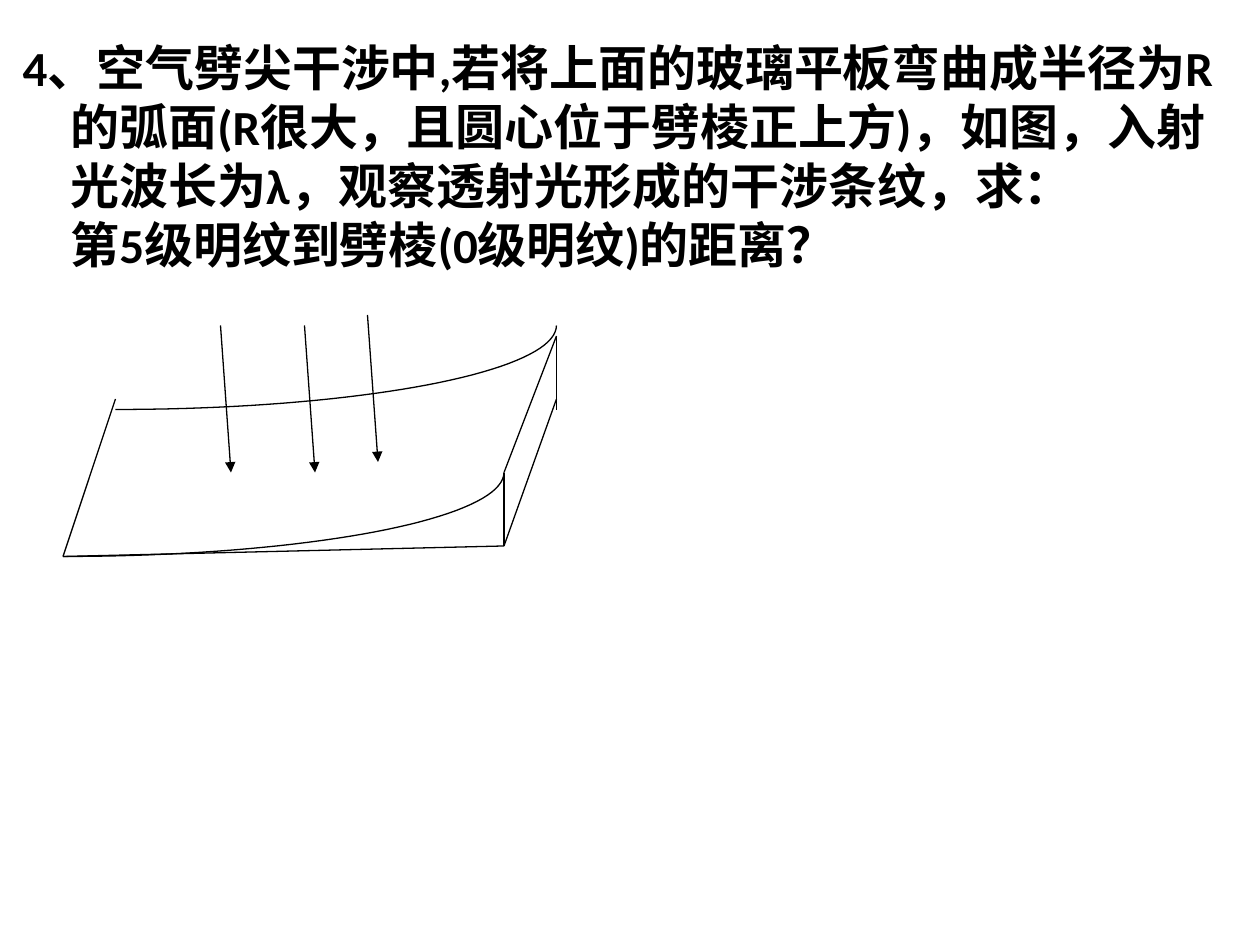
import math
from dataclasses import dataclass

from lxml import etree
from pptx import Presentation
from pptx import util as u
from pptx.dml.color import RGBColor
from pptx.enum import lang, shapes, text
from pptx.oxml.ns import qn


@dataclass(frozen=True)
class Theme:
    ink: RGBColor = RGBColor(0, 0, 0)
    face: str = "Calibri"
    size: int = 28
    line: float = 0.75


THEME = Theme()
UNIT = u.Inches(1) // 12  # the figure lies on a grid of twelfths of an inch

QUESTION = (
    "4、空气劈尖干涉中,若将上面的玻璃平板弯曲成半径为R的弧面"
    "(R很大，且圆心位于劈棱正上方)，如图，入射光波长为λ，"
    "观察透射光形成的干涉条纹，求："
)
TASK = "第5级明纹到劈棱(0级明纹)的距离？"

# Corners as (column, row)
EDGE = (6, 53)
FRONT_TOP, FRONT_LOW = (48, 45), (48, 52)
BACK_TOP, BACK_LOW = (53, 32), (53, 38)
SIDES = [
    (EDGE, (11, 38)),
    (FRONT_TOP, BACK_TOP),
    (EDGE, FRONT_LOW),
    (FRONT_TOP, FRONT_LOW),
    (FRONT_LOW, BACK_LOW),
    (BACK_TOP, (53, 39)),
]
RAYS = [(29, 31), (21, 31), (35, 30)]
ARCS = [EDGE, (11, 39)]


def put(par, words, hang=0.0, size=THEME.size, bold=True):
    """Fill a paragraph; hang is the inches its first line stands out."""
    props = par._p.get_or_add_pPr()
    props.set("marL", str(u.Inches(0.38)))
    props.set("indent", str(-u.Inches(hang)))
    par.alignment = text.PP_ALIGN.LEFT
    run = par.add_run()
    run.text = words
    font = run.font
    font.name, font.size, font.bold = THEME.face, u.Pt(size), bold
    font.color.rgb = THEME.ink
    font.language_id = lang.MSO_LANGUAGE_ID.SIMPLIFIED_CHINESE


def ask(slide):
    box = slide.shapes.title
    box.left, box.top = u.Inches(0.08), u.Inches(0.25)
    box.width, box.height = u.Inches(9.75), u.Inches(1.97)
    frame = box.text_frame
    frame.word_wrap = True
    frame.auto_size = text.MSO_AUTO_SIZE.SHAPE_TO_FIT_TEXT
    frame.vertical_anchor = text.MSO_ANCHOR.TOP
    put(frame.paragraphs[0], QUESTION, hang=0.38)
    put(frame.add_paragraph(), TASK)


def ink(item):
    item.line.color.rgb = THEME.ink
    item.line.width = u.Pt(THEME.line)


def line(group, start, end, arrow=False):
    ends = [n * UNIT for n in start + end]
    item = group.shapes.add_connector(shapes.MSO_CONNECTOR.STRAIGHT, *ends)
    ink(item)
    props = item._element.spPr
    if arrow:
        etree.SubElement(item.line._get_or_add_ln(), qn("a:tailEnd"), type="triangle")
    etree.SubElement(props, qn("a:effectLst"))


def arc(group, start, wide=42, high=8, steps=40):
    """Draw a quarter ellipse rising to the right from its lowest point."""
    col, row = start
    turns = [math.pi / 2 * n / steps for n in range(steps + 1)]
    spots = [
        (round((col + wide * math.sin(t)) * UNIT),
         round((row - high + high * math.cos(t)) * UNIT))
        for t in turns
    ]
    pen = group.shapes.build_freeform(*spots[0])
    pen.add_line_segments(spots[1:], close=False)
    item = pen.convert_to_shape()
    item.shadow.inherit = False
    item.fill.background()
    ink(item)


def wedge(slide):
    group = slide.shapes.add_group_shape()
    for start in ARCS:
        arc(group, start)
    for start, end in SIDES:
        line(group, start, end)
    for col, row in RAYS:
        line(group, (col, row), (col + 1, row + 14), arrow=True)


def main():
    deck = Presentation()
    deck.slide_width, deck.slide_height = u.Inches(10), u.Inches(7.5)
    slide = deck.slides.add_slide(deck.slide_layouts.get_by_name("Title Only"))
    ask(slide)
    wedge(slide)
    deck.save("out.pptx")


if __name__ == "__main__":
    main()
